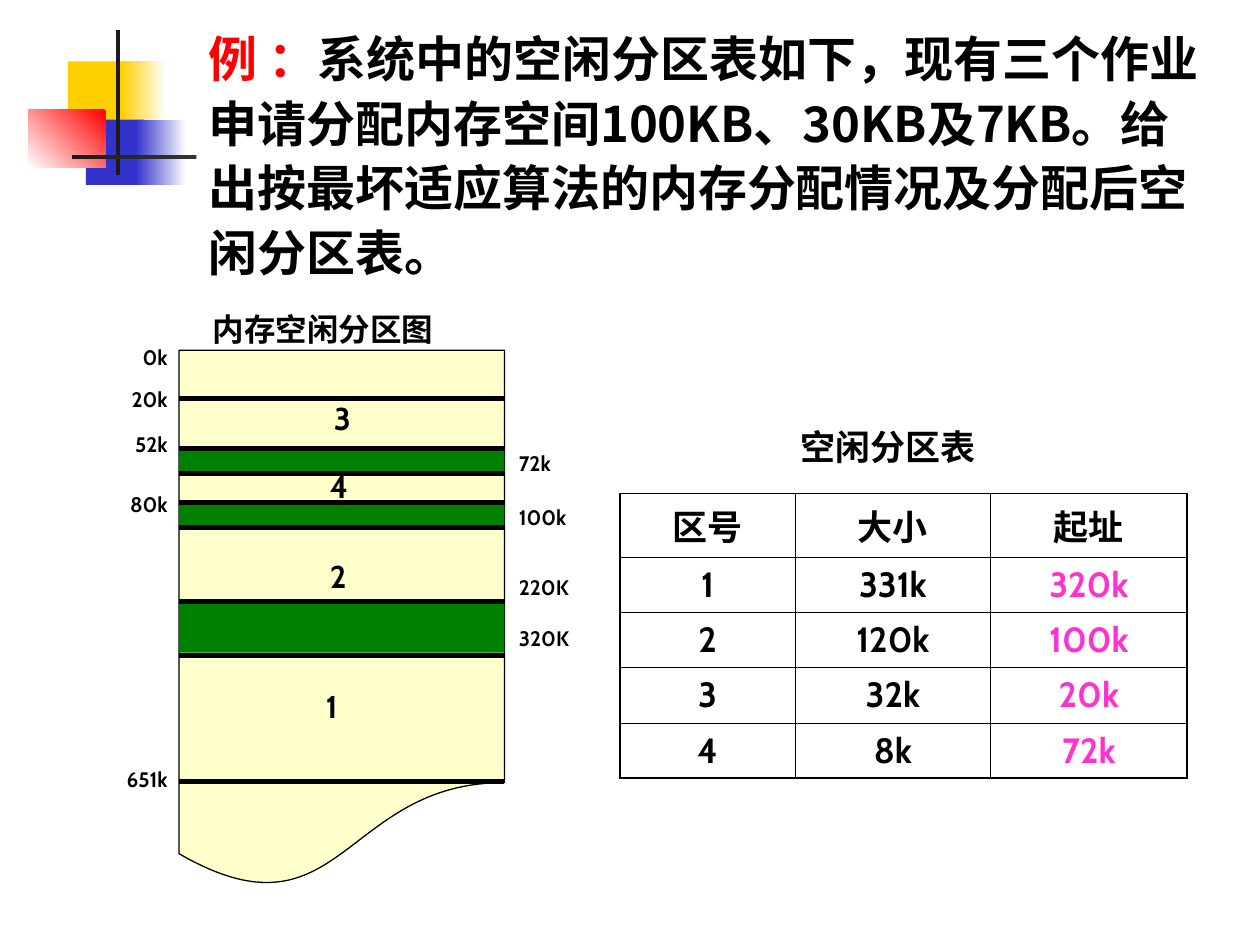
"""Builds a slide on worst-fit memory allocation with a free-partition map and table."""
from lxml import etree
from pptx import Presentation
from pptx import util as u
from pptx.dml.color import RGBColor
from pptx.enum import shapes, text
from pptx.oxml import ns

BLACK = RGBColor(0x00, 0x00, 0x00)
WHITE = RGBColor(0xFF, 0xFF, 0xFF)
YELLOW = RGBColor(0xFF, 0xCF, 0x01)
BLUE = RGBColor(0x33, 0x33, 0xCC)
RED = RGBColor(0xFF, 0x00, 0x00)
DARK = RGBColor(0x1C, 0x1C, 0x1C)
CREAM = RGBColor(0xFF, 0xFF, 0xCC)
GREEN = RGBColor(0x00, 0x80, 0x00)
PINK = RGBColor(0xFF, 0x33, 0xCC)
CJK = "Noto Sans CJK SC"
LEFT, CENTER, RIGHT = text.PP_ALIGN.LEFT, text.PP_ALIGN.CENTER, text.PP_ALIGN.RIGHT

prs = Presentation()
prs.slide_width, prs.slide_height = u.Cm(25.4), u.Cm(19.05)
s = prs.slides.add_slide(prs.slide_layouts[6])


def add_run(p, words, size, color=BLACK, name="Cabin"):
    r = p.add_run()
    r.text = words
    for key, value in {"size": u.Pt(size), "bold": True, "name": name}.items():
        setattr(r.font, key, value)
    r.font.color.rgb = color
    etree.SubElement(r.font._element, ns.qn("a:ea"), typeface=CJK)


def add_shape(kind, box, color, fade=None, angle=180):
    sp = s.shapes.add_shape(kind, *map(u.Cm, box))
    sp.shadow.inherit = False
    sp.line.fill.background()
    if fade is None:
        sp.fill.solid()
        sp.fill.fore_color.rgb = color
    else:
        sp.fill.gradient()
        sp.fill.gradient_angle = angle
        for stop, shade in zip(sp.fill.gradient_stops, (color, fade)):
            stop.color.rgb = shade
    return sp


RECT = shapes.MSO_SHAPE.RECTANGLE
for box, color, fade, angle in (
    ((1.37, 1.24, 1.22, 1.32), YELLOW, None, 0),
    ((2.44, 1.24, 0.91, 1.32), WHITE, YELLOW, 180),
    ((1.73, 2.41, 1.17, 1.32), BLUE, None, 0),
    ((2.74, 2.41, 1.02, 1.32), WHITE, BLUE, 180),
    ((0.58, 2.21, 1.55, 1.17), RED, WHITE, 225),
    ((2.34, 0.61, 0.08, 2.92), DARK, None, 0),
    ((1.45, 3.12, 22.86, 0.08), WHITE, DARK, 180),
):
    add_shape(RECT, box, color, fade, angle)

rows = [
    ("区号", "大小", "起址"),
    ("1", "331k", "320k"),
    ("2", "120k", "100k"),
    ("3", "32k", "20k"),
    ("4", "8k", "72k"),
]
widths = [3.53, 3.94, 3.96]
frame = s.shapes.add_table(5, 3, u.Cm(12.5), u.Cm(9.95), u.Cm(sum(widths)), u.Cm(5.55))
tbl = frame.table
tbl.first_row = tbl.horz_banding = False
for col, width in zip(tbl.columns, widths):
    col.width = u.Cm(width)
for i, row in enumerate(rows):
    tbl.rows[i].height = u.Cm(1.11)
    for j, words in enumerate(row):
        cell = tbl.cell(i, j)
        cell.fill.background()
        cell.vertical_anchor = text.MSO_ANCHOR.MIDDLE
        p = cell.text_frame.paragraphs[0]
        p.alignment = CENTER
        add_run(p, words, 20, PINK if i and j == 2 else BLACK)
        tc_pr = cell._tc.get_or_add_tcPr()
        outer = {"lnL": j == 0, "lnR": j == 2, "lnT": i == 0, "lnB": i == 4}
        for k, (side, edge) in enumerate(outer.items()):
            ln = etree.Element(ns.qn("a:" + side), w=str(u.Pt(1.08 if edge else 0.45)))
            fill = etree.SubElement(ln, ns.qn("a:solidFill"))
            etree.SubElement(fill, ns.qn("a:srgbClr"), val=str(BLACK))
            tc_pr.insert(k, ln)

sp = add_shape(RECT, (3.96, 0.33, 20.52, 5.49), WHITE)
tf = sp.text_frame
tf.word_wrap = True
tf.vertical_anchor = text.MSO_ANCHOR.TOP
p = tf.paragraphs[0]
for key, value in {"alignment": LEFT, "line_spacing": 1.1, "space_before": u.Pt(17.5)}.items():
    setattr(p, key, value)
add_run(p, "例 ：", 28, RED, CJK)
add_run(p, "系统中的空闲分区表如下，现有三个作业申请分配内存空间100KB、30KB及7KB。"
           "给出按最坏适应算法的内存分配情况及分配后空闲分区表。", 28, BLACK, CJK)

x1, x2 = 3.61, 10.17
sp = add_shape(shapes.MSO_SHAPE.FLOWCHART_DOCUMENT, (x1, 7.06, x2 - x1, 10.87), CREAM)
sp.line.color.rgb = BLACK
sp.line.width = u.Pt(0.75)
for top, height in ((9.07, 0.46), (10.18, 0.43), (12.14, 1.02)):
    add_shape(RECT, (x1, top, x2 - x1, height), GREEN)
for y in (8.03, 9.04, 9.55, 10.13, 10.64, 12.12, 13.21, 15.75):
    line = s.shapes.add_connector(
        shapes.MSO_CONNECTOR.STRAIGHT, u.Cm(x1), u.Cm(y), u.Cm(x2), u.Cm(y))
    line.line.color.rgb = BLACK
    line.line.width = u.Pt(3)
    etree.SubElement(line._element.spPr, ns.qn("a:effectLst"))

for box, words, size, name, align, wrap in (
    ((14, 8.46, 7.82, 1.12), "空闲分区表", 20, "Cabin", CENTER, True),
    ((4.04, 6.12, 5.64, 1.02), "内存空闲分区图", 18, "Times New Roman", LEFT, True),
    ((6.48, 7.92, 0.86, 1.02), "3", 18, "Cabin", LEFT, False),
    ((6.4, 9.3, 0.86, 1.02), "4", 18, "Cabin", LEFT, False),
    ((6.4, 11.1, 0.86, 1.02), "2", 18, "Cabin", LEFT, False),
    ((6.32, 13.72, 0.86, 1.02), "1", 18, "Cabin", LEFT, False),
):
    tf = s.shapes.add_textbox(*map(u.Cm, box)).text_frame
    tf.word_wrap = wrap
    p = tf.paragraphs[0]
    p.alignment = align
    add_run(p, words, size, BLACK, name)

for box, inset, align, labels in (
    ((0.89, 6.76, 2.74, 9.37), 0.13, RIGHT,
     (("0k", 0), ("20k", 8.5), ("52k", 9.6), ("80k", 18.8), ("651k", 141))),
    ((10.21, 7.82, 2.01, 5.94), 1.21, LEFT,
     (("72k", 0), ("100k", 15.4), ("220K", 24), ("320K", 13))),
):
    tf = s.shapes.add_textbox(*map(u.Cm, box)).text_frame
    tf.word_wrap = True
    tf.margin_top = u.Cm(inset)
    for i, (label, gap) in enumerate(labels):
        p = tf.add_paragraph() if i else tf.paragraphs[0]
        for key, value in {"alignment": align, "line_spacing": 1.1, "space_before": u.Pt(gap)}.items():
            setattr(p, key, value)
        add_run(p, label, 12)

prs.save("out.pptx")
